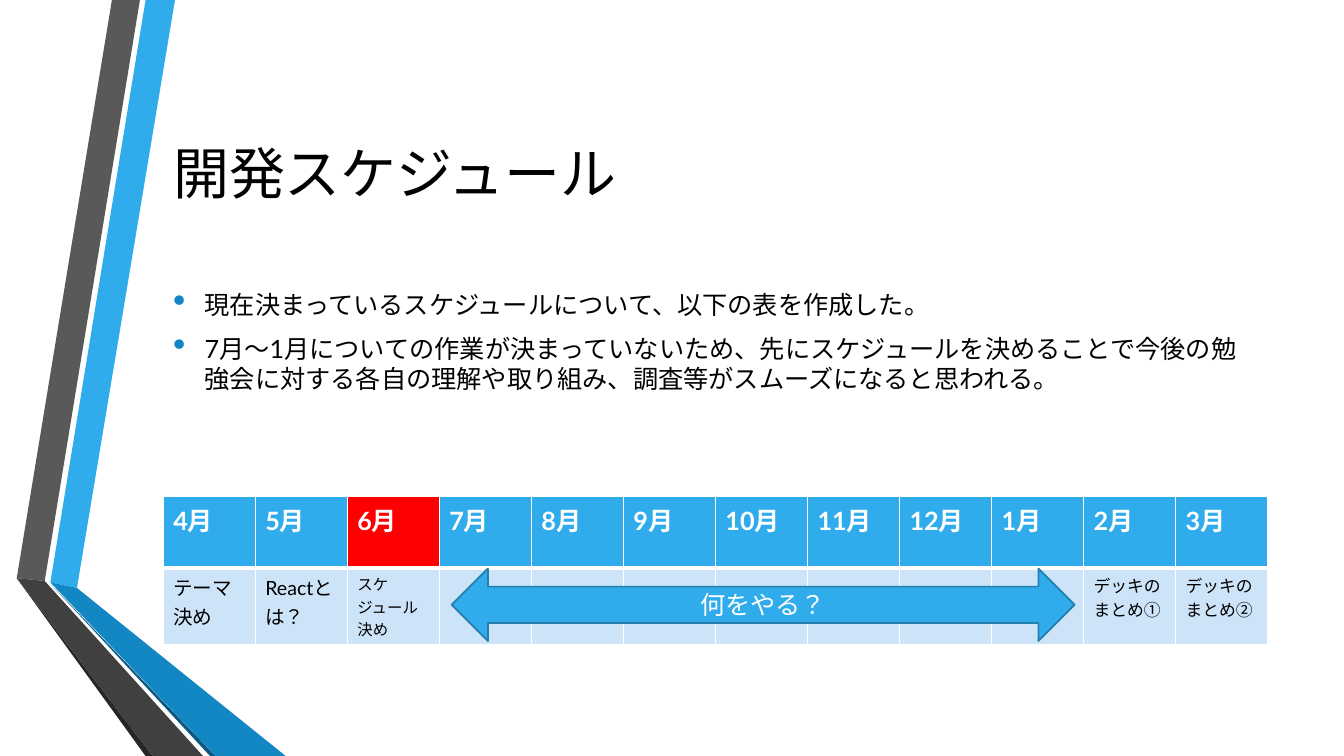
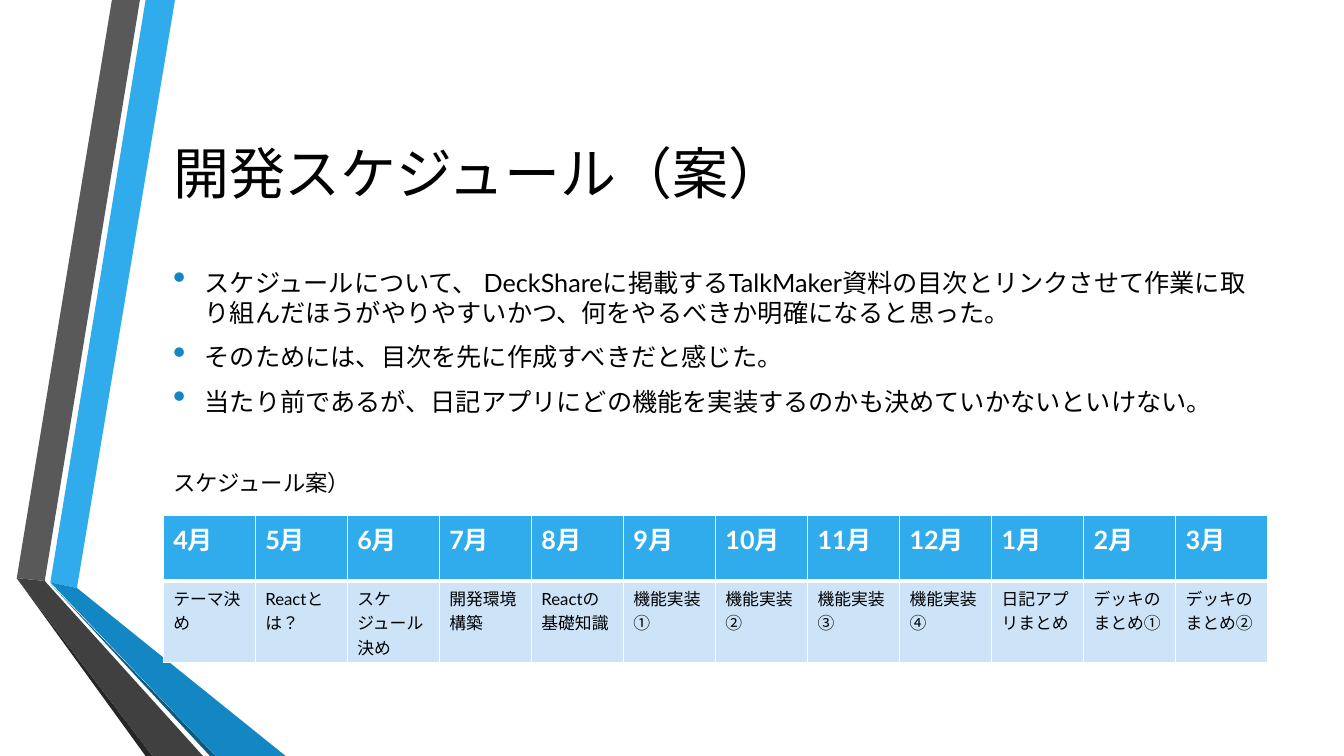
from dataclasses import dataclass

from lxml.etree import SubElement
from pptx import Presentation
from pptx.dml.color import RGBColor as Rgb
from pptx.enum.lang import MSO_LANGUAGE_ID as Lang
from pptx.enum.shapes import MSO_SHAPE as Shape
from pptx.enum.text import MSO_ANCHOR as Anchor, PP_ALIGN as Align
from pptx.oxml.ns import qn
from pptx.util import Pt

MONTHS = [f"{(i + 3) % 12 + 1}月" for i in range(12)]
ENDING = ["デッキのまとめ①", "デッキのまとめ②"]
START = ["テーマ決め", "Reactとは？", "スケジュール決め"]

NOW = dict(
    title="開発スケジュール",
    points=[
        "現在決まっているスケジュールについて、以下の表を作成した。",
        "7月～1月についての作業が決まっていないため、先にスケジュールを決めることで"
        "今後の勉強会に対する各自の理解や取り組み、調査等がスムーズになると思われる。",
    ],
    tasks=START + [""] * 7 + ENDING,
    sizes=[14, 14, 11] + [12] * 9,
    top=354.6, rows=(51, 55), mark="6月",
)
PLAN = dict(
    title="開発スケジュール（案）",
    points=[
        "スケジュールについて、 DeckShareに掲載するTalkMaker資料の目次とリンクさせて"
        "作業に取り組んだほうがやりやすいかつ、何をやるべきか明確になると思った。",
        "そのためには、目次を先に作成すべきだと感じた。",
        "当たり前であるが、日記アプリにどの機能を実装するのかも決めていかないといけない。",
    ],
    tasks=START + ["開発環境構築", "Reactの基礎知識"]
    + [f"機能実装{n}" for n in "①②③④"] + ["日記アプリまとめ"] + ENDING,
    sizes=[12] * 12,
    top=368.2, rows=(46.8, 58.5), mark=None,
)
GAP = "何をやる？"
LABEL = "スケジュール案）"


@dataclass(frozen=True)
class Theme:
    """Colours, font and type sizes of the deck."""
    font: str = "Lato"
    ink: str = "000000"
    white: str = "FFFFFF"
    sky: str = "30ACEC"
    edge: str = "247FAF"
    blue: str = "1287C3"
    navy: str = "0C5A82"
    pale: str = "CDE3F8"
    red: str = "FF0000"
    gray: str = "595959"
    dark: str = "404040"
    coal: str = "262626"
    head: int = 40
    body: int = 18
    note: int = 16


T = Theme()
WIDE, HIGH = 960, 540
LEFT, SPAN = 116.6, 789.1

# Ribbon outlines in points, from back to front.
BANDS = [
    (T.sky, [(36, 416.2), (55.4, 419.8), (124.6, 0), (104.4, 0)]),
    (T.gray, [(100.1, 0), (79.9, 0), (11.5, 412.6), (31.7, 415.4)]),
    (T.coal, [(11.5, 412.6), (104.4, HIGH), (108.7, HIGH)]),
    (T.navy, [(36, 416.9), (149.8, HIGH), (154.1, HIGH)]),
    (T.blue, [(36, 416.2), (154.1, HIGH), (203.8, HIGH), (55.4, 419.8)]),
    (T.dark, [(145.4, HIGH), (31.7, 415.4), (11.5, 412.6), (108.7, HIGH)]),
]


def paint(item, color):
    """Give a shape or cell a solid fill."""
    item.fill.solid()
    item.fill.fore_color.rgb = Rgb.from_string(color)


def bullet(para):
    """Turn a paragraph into a spaced item with a hanging dot."""
    para.space_before, para.space_after = Pt(4), Pt(6)
    props = para._p.get_or_add_pPr()
    props.set("marL", str(Pt(22.5)))
    props.set("indent", str(Pt(-22.5)))
    tint = SubElement(props, qn("a:buClr"))
    SubElement(tint, qn("a:srgbClr"), val=T.blue)
    SubElement(props, qn("a:buSzPct"), val="145000")
    SubElement(props, qn("a:buChar"), char="•")


def write(frame, *lines, size=T.body, color=T.ink, bold=False,
          align=Align.LEFT, anchor=Anchor.TOP, dots=False):
    """Fill a text frame, one paragraph per line."""
    frame.word_wrap = True
    frame.vertical_anchor = anchor
    for i, line in enumerate(lines):
        para = frame.add_paragraph() if i else frame.paragraphs[0]
        para.alignment = align
        if dots:
            bullet(para)
        run = para.add_run()
        run.text = line
        font = run.font
        font.name, font.size, font.bold = T.font, Pt(size), bold
        font.language_id = Lang.JAPANESE
        font.color.rgb = Rgb.from_string(color)


def box(slide, top, high, *lines, wide=SPAN, **form):
    """Add a text box at the left margin."""
    item = slide.shapes.add_textbox(Pt(LEFT), Pt(top), Pt(wide), Pt(high))
    write(item.text_frame, *lines, **form)


def ribbon(slide):
    """Draw the folded bands at the left edge."""
    for color, spots in BANDS:
        pen = slide.shapes.build_freeform(*spots[0], scale=Pt(1))
        pen.add_line_segments(spots[1:], close=True)
        band = pen.convert_to_shape()
        band.shadow.inherit = False
        band.line.fill.background()
        paint(band, color)


def rule(cell, **sides):
    """Draw white cell borders, widths in points by side."""
    props = cell._tc.get_or_add_tcPr()
    for side, wide in sides.items():
        line = SubElement(props, qn(f"a:ln{side}"), w=str(Pt(wide)))
        fill = SubElement(line, qn("a:solidFill"))
        SubElement(fill, qn("a:srgbClr"), val=T.white)


def grid(slide, data):
    """Add the table of months and tasks."""
    count = len(MONTHS)
    frame = slide.shapes.add_table(2, count, Pt(LEFT), Pt(data["top"]),
                                   Pt(SPAN), Pt(sum(data["rows"])))
    table = frame.table
    table.horz_banding = False
    for row, high in zip(table.rows, data["rows"]):
        row.height = Pt(high)
    cols = zip(MONTHS, data["tasks"], data["sizes"])
    for i, (month, task, size) in enumerate(cols):
        table.columns[i].width = Pt(SPAN / count)
        top, low = table.cell(0, i), table.cell(1, i)
        rule(top, L=1, R=1, T=1, B=3)
        rule(low, L=1, R=1, B=1)
        paint(top, T.red if month == data["mark"] else T.sky)
        paint(low, T.pale)
        write(top.text_frame, month, color=T.white, bold=True)
        if task:
            write(low.text_frame, task, size=size)


def arrow(slide):
    """Add the double arrow over the open months."""
    item = slide.shapes.add_shape(Shape.LEFT_RIGHT_ARROW, Pt(322.6),
                                  Pt(406.1), Pt(445), Pt(51.8))
    item.shadow.inherit = False
    paint(item, T.sky)
    item.line.color.rgb = Rgb.from_string(T.edge)
    item.line.width = Pt(1.25)
    write(item.text_frame, GAP, color=T.white, align=Align.CENTER,
          anchor=Anchor.MIDDLE)


def page(deck, data):
    """Build one schedule slide and return it."""
    slide = deck.slides.add_slide(deck.slide_layouts[6])
    ribbon(slide)
    box(slide, 54, 138.2, data["title"], size=T.head, anchor=Anchor.MIDDLE)
    grid(slide, data)
    box(slide, 156.2, 175.7, *data["points"], anchor=Anchor.MIDDLE, dots=True)
    return slide


deck = Presentation()
deck.slide_width, deck.slide_height = Pt(WIDE), Pt(HIGH)
arrow(page(deck, NOW))
box(page(deck, PLAN), 331.9, 26.6, LABEL, wide=157.7, size=T.note)
deck.save("out.pptx")
